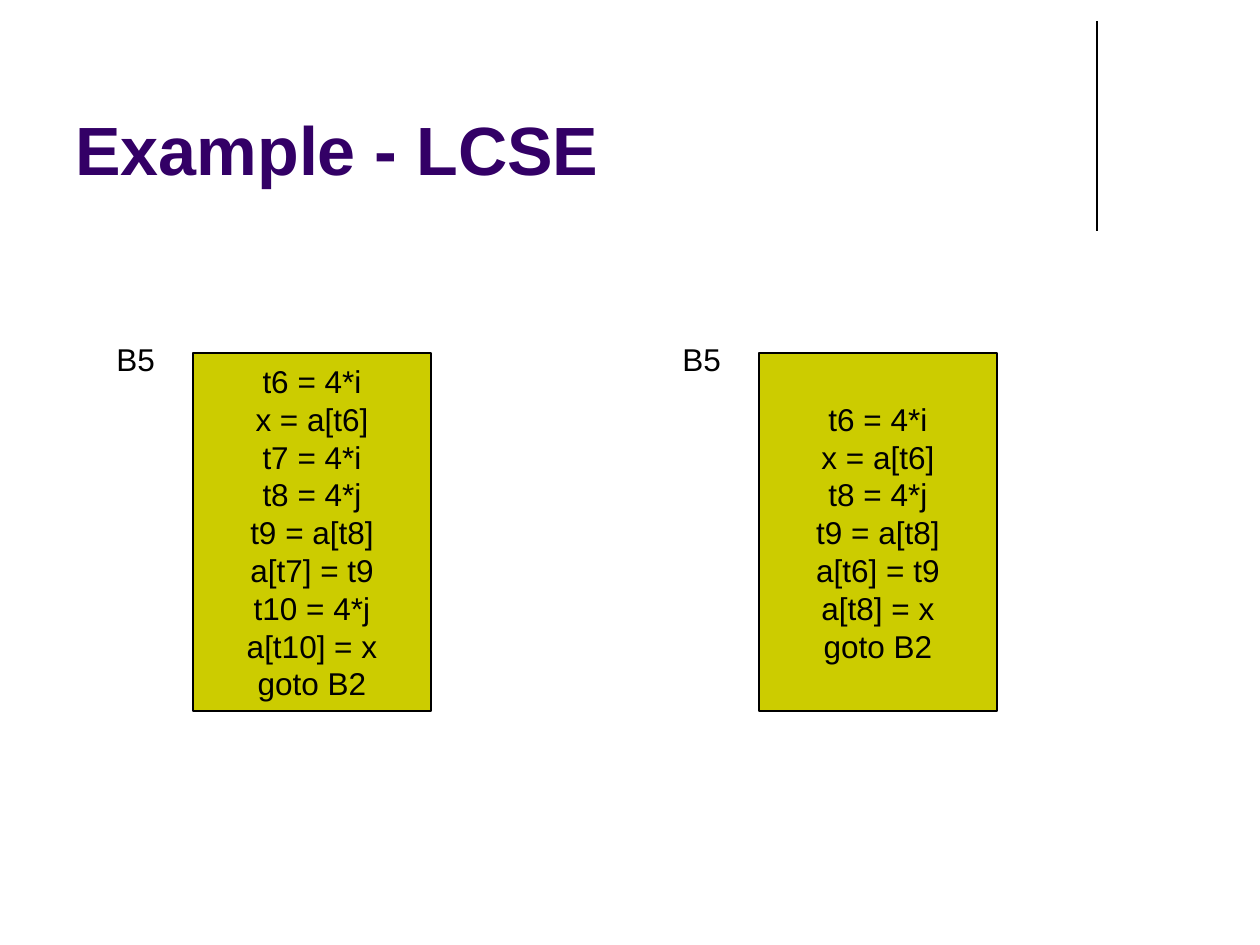
from dataclasses import dataclass
from lxml.etree import SubElement
from pptx import Presentation
from pptx.dml.color import RGBColor as Rgb
from pptx.enum.shapes import MSO_CONNECTOR as Conn, MSO_SHAPE as Kind
from pptx.enum.text import MSO_ANCHOR as Anchor, PP_ALIGN as Align
from pptx.oxml.ns import qn
from pptx.util import Emu, Pt

TITLE = "Example - LCSE"
BLOCKS = [
    ("B5", ["t6 = 4*i", "x = a[t6]", "t7 = 4*i", "t8 = 4*j", "t9 = a[t8]",
            "a[t7] = t9", "t10 = 4*j", "a[t10] = x", "goto B2"]),
    ("B5", ["t6 = 4*i", "x = a[t6]", "t8 = 4*j", "t9 = a[t8]",
            "a[t6] = t9", "a[t8] = x", "goto B2"]),
]


@dataclass(frozen=True)
class Theme:
    font: str = "Arial"
    ink: str = "000000"
    head: str = "330066"
    fill: str = "CCCC00"
    big: int = 39
    body: int = 18
    line: float = 0.75


THEME = Theme()
LEFT, STEP = 104, 566
LABEL_TOP, BOX_TOP, BOX_GAP = 334, 353, 89


def px(n):
    return Emu(round(n * 914400 / 126))


def write(shape, lines, size=THEME.body, color=THEME.ink, bold=False,
          align=Align.LEFT, anchor=Anchor.TOP, wrap=False):
    frame = shape.text_frame
    frame.word_wrap = wrap
    frame.vertical_anchor = anchor
    for i, line in enumerate(lines):
        para = frame.add_paragraph() if i else frame.paragraphs[0]
        para.alignment = align
        run = para.add_run()
        run.text = line
        font = run.font
        font.name, font.size, font.bold = THEME.font, Pt(size), bold
        font.color.rgb = Rgb.from_string(color)


def stroke(shape):
    shape.line.color.rgb = Rgb.from_string(THEME.ink)
    shape.line.width = Pt(THEME.line)


def main():
    deck = Presentation()
    deck.slide_width, deck.slide_height = px(1260), px(945)
    slide = deck.slides.add_slide(deck.slide_layouts[6])
    shapes = slide.shapes

    rule = shapes.add_connector(Conn.STRAIGHT, px(1097), px(21), px(1097), px(231))
    stroke(rule)
    SubElement(rule.element.spPr, qn("a:effectLst"))

    title = shapes.add_textbox(px(63), px(16), px(1040), px(179))
    write(title, [TITLE], size=THEME.big, color=THEME.head, bold=True,
          anchor=Anchor.BOTTOM, wrap=True)

    for i, (name, code) in enumerate(BLOCKS):
        left = LEFT + i * STEP
        box = shapes.add_shape(Kind.RECTANGLE, px(left + BOX_GAP), px(BOX_TOP),
                               px(238), px(358))
        box.shadow.inherit = False
        box.fill.solid()
        box.fill.fore_color.rgb = Rgb.from_string(THEME.fill)
        stroke(box)
        write(box, code, align=Align.CENTER, anchor=Anchor.MIDDLE)
        label = shapes.add_textbox(px(left), px(LABEL_TOP), px(64), px(50))
        write(label, [name])

    deck.save("out.pptx")


if __name__ == "__main__":
    main()
